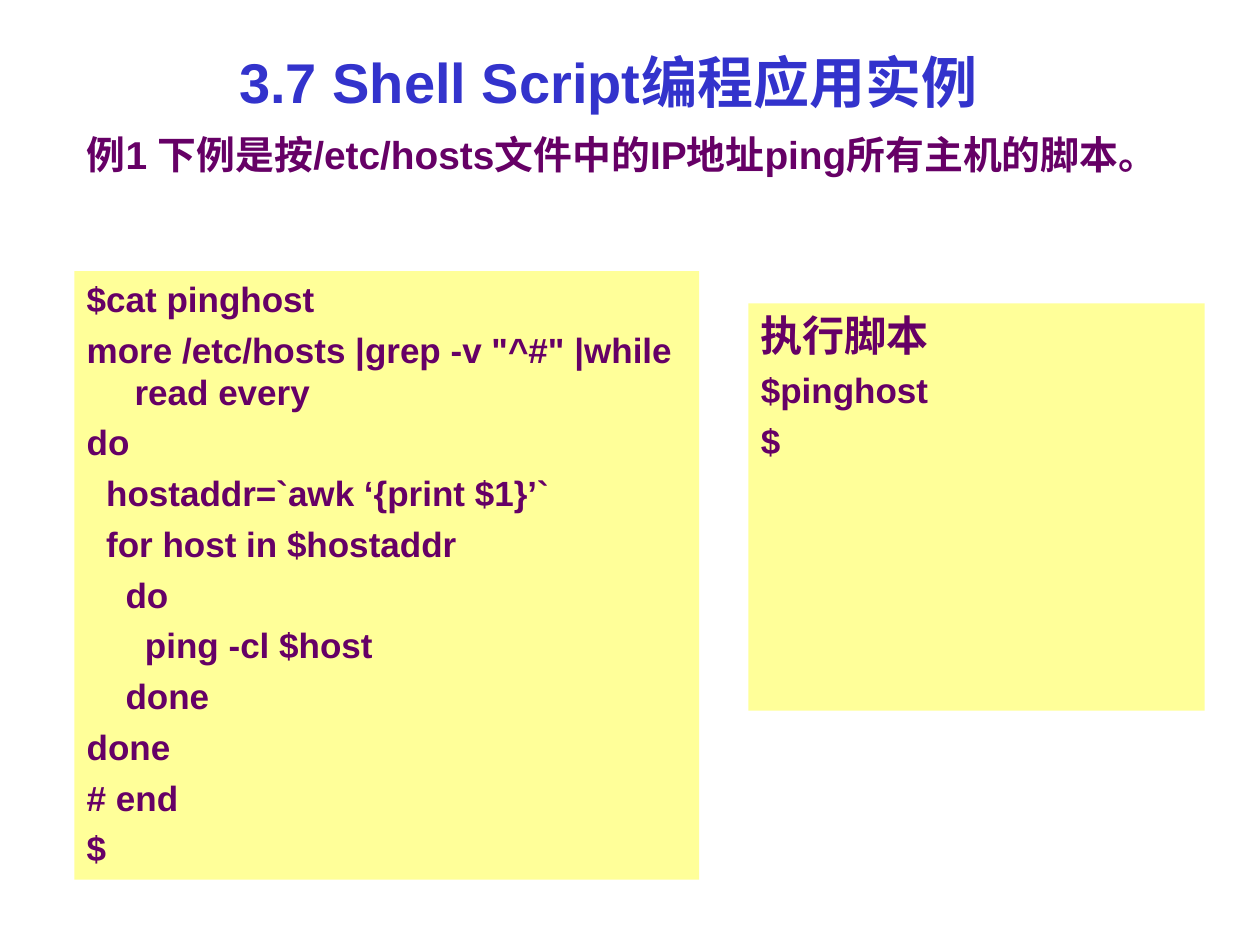
import pptx
import pptx.util
import pptx.dml.color
import pptx.enum.text
import pptx.enum.shapes

Pt = pptx.util.Pt
Inches = pptx.util.Inches
RGB = pptx.dml.color.RGBColor.from_string
Align = pptx.enum.text.PP_ALIGN
Anchor = pptx.enum.text.MSO_ANCHOR
RECT = pptx.enum.shapes.MSO_SHAPE.RECTANGLE

theme = {
    "font": "Arial",
    "title": "3333CC", "body": "660066", "panel": "FFFF99",
    "big": 32, "lead": 22.2, "head": 24, "code": 20,
}

deck = pptx.Presentation()
deck.slide_width, deck.slide_height = Inches(10), Inches(7.5)
wide, high = deck.slide_width, deck.slide_height
slide = deck.slides.add_slide(deck.slide_layouts[6])


def write(frame, text, size="code", color="body", align=Align.LEFT, hang=0, first=False):
    para = frame.paragraphs[0] if first else frame.add_paragraph()
    para.alignment = align
    para.space_before = Pt(0 if first else 5)
    if hang:
        props = para._p.get_or_add_pPr()
        props.set("marL", str(Inches(hang)))
        props.set("indent", str(-Inches(hang)))
    run = para.add_run()
    run.text = text
    run.font.name = theme["font"]
    run.font.size = Pt(theme[size])
    run.font.bold = True
    run.font.color.rgb = RGB(theme[color])


def place(left, top, width, height, fill=None):
    box = [int(left * wide), int(top * high), int(width * wide), int(height * high)]
    if fill:
        shape = slide.shapes.add_shape(RECT, *box)
        shape.shadow.inherit = False
        shape.fill.solid()
        shape.fill.fore_color.rgb = RGB(theme[fill])
        shape.line.fill.background()
    else:
        shape = slide.shapes.add_textbox(*box)
    frame = shape.text_frame
    frame.word_wrap = True
    frame.vertical_anchor = Anchor.TOP
    return frame


edge = 0.059

title = place(0.033, 0.028, 0.9, 0.116)
title.vertical_anchor = Anchor.MIDDLE
write(title, "3.7 Shell Script编程应用实例", size="big", color="title",
      align=Align.CENTER, first=True)

lead = place(edge, 0.132, 0.9, 0.084)
write(lead, "例1 下例是按/etc/hosts文件中的IP地址ping所有主机的脚本。",
      size="lead", hang=0.58, first=True)

code = [
    "$cat pinghost",
    'more /etc/hosts |grep -v "^#" |while read every',
    "do",
    "  hostaddr=`awk ‘{print $1}’`",
    "  for host in $hostaddr",
    "    do",
    "      ping -cl $host",
    "    done",
    "done",
    "# end",
    "$",
]
script = place(edge, 0.287, 0.496, 0.644, fill="panel")
for row, line in enumerate(code):
    write(script, line, hang=0.38, first=row == 0)

usage = place(0.594, 0.321, 0.362, 0.431, fill="panel")
write(usage, "执行脚本", size="head", hang=0.38, first=True)
for line in ["$pinghost", "$"]:
    write(usage, line, hang=0.38)

deck.save("out.pptx")
